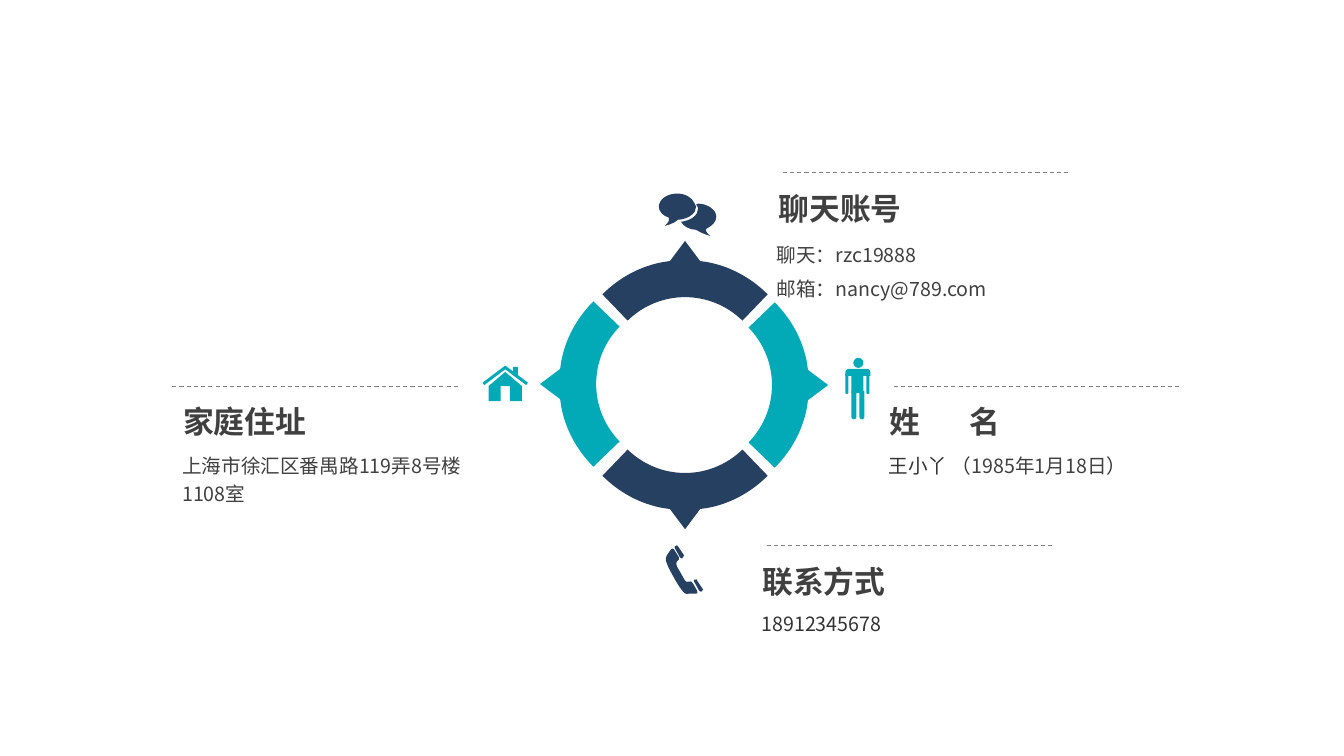
import pptx
import pptx.dml.color
import pptx.enum.dml
import pptx.enum.shapes
import pptx.enum.text
import pptx.oxml.ns
import pptx.util
from lxml import etree

PX = 9144
FONT = "Noto Sans CJK SC"
TEAL, NAVY, GRAY, DARK, RULE = "02AAB7", "254061", "404040", "333333", "808080"
SHAPE = pptx.enum.shapes.MSO_SHAPE
qn = pptx.oxml.ns.qn


def px(n):
    return pptx.util.Emu(round(n * PX))


def rgb(value):
    return pptx.dml.color.RGBColor.from_string(value)


def pairs(seg):
    return list(zip(seg[::2], seg[1::2]))


class Deck:
    """Holds the slide and draws each kind of element in one style."""

    def __init__(self, width, height):
        self.prs = pptx.Presentation()
        self.prs.slide_width, self.prs.slide_height = px(width), px(height)
        self.s = self.prs.slides.add_slide(self.prs.slide_layouts[6])

    def group(self):
        return self.s.shapes.add_group_shape().shapes

    def paint(self, sp, color):
        sp.fill.solid()
        sp.fill.fore_color.rgb = rgb(color)
        sp.line.fill.background()
        sp.shadow.inherit = False

    def shape(self, parent, kind, box, color, rotation=0, adj=()):
        sp = parent.add_shape(kind, *map(px, box))
        sp.rotation = rotation
        for i, value in enumerate(adj):
            sp.adjustments[i] = value
        self.paint(sp, color)

    def outline(self, parent, contours, color):
        """Draw contours of points (2 numbers) and cubic curves (6 numbers)."""
        builder = parent.build_freeform(*map(px, contours[0][0]), scale=1.0)
        for i, contour in enumerate(contours):
            if i:
                builder.move_to(*map(px, contour[0]))
            points = [(px(x), px(y)) for seg in contour[1:] for x, y in pairs(seg)]
            builder.add_line_segments(points, close=True)
        sp = builder.convert_to_shape()
        lines = sp._element.iter(qn("a:lnTo"))
        lines = iter(list(lines))
        for seg in (seg for contour in contours for seg in contour[1:]):
            first = next(lines)
            if len(seg) == 6:
                curve = etree.Element(qn("a:cubicBezTo"))
                first.addprevious(curve)
                for line in (first, next(lines), next(lines)):
                    curve.append(line[0])
                    line.getparent().remove(line)
        self.paint(sp, color)

    def rule(self, x, y, width):
        c = self.s.shapes.add_connector(pptx.enum.shapes.MSO_CONNECTOR.STRAIGHT,
                                        px(x), px(y), px(x + width), px(y))
        c.line.color.rgb = rgb(RULE)
        c.line.width = pptx.util.Pt(0.75)
        c.line.dash_style = pptx.enum.dml.MSO_LINE.DASH
        etree.SubElement(c._element.spPr, qn("a:effectLst"))

    def text(self, box, paragraphs, size, bold=False, spacing=1.0, before=0, tab=None):
        tf = self.s.shapes.add_textbox(*map(px, box)).text_frame
        tf.word_wrap = True
        tf.auto_size = pptx.enum.text.MSO_AUTO_SIZE.SHAPE_TO_FIT_TEXT
        for i, runs in enumerate(paragraphs):
            p = tf.add_paragraph() if i else tf.paragraphs[0]
            p.line_spacing = spacing
            if i:
                p.space_before = pptx.util.Pt(before)
            if tab:
                tabs = etree.SubElement(p._p.get_or_add_pPr(), qn("a:tabLst"))
                etree.SubElement(tabs, qn("a:tab"), pos=str(px(tab)), algn="l")
            for words, color in runs:
                r = p.add_run()
                r.text = words
                r.font.size = pptx.util.Pt(size)
                r.font.bold = bold
                r.font.color.rgb = rgb(color)
                r.font.name = FONT
                etree.SubElement(r._r.get_or_add_rPr(), qn("a:ea"), typeface=FONT)


def ring(d):
    sector = [(89, -82), (106, -65, 117, -44, 121, -22), (122, -15), (142, 0),
              (122, 15), (121, 22), (117, 44, 106, 65, 89, 82), (63, 57),
              (94, 25, 94, -25, 63, -57)]
    for cx, cy, color in ((680, 382, TEAL), (680, 383, NAVY),
                          (678, 381, TEAL), (680, 381, NAVY)):
        placed = [[v for x, y in pairs(seg) for v in (cx + x, cy + y)] for seg in sector]
        d.outline(d.s.shapes, [placed], color)
        sector = [[v for x, y in pairs(seg) for v in (-y, x)] for seg in sector]


def person(d):
    g = d.group()
    d.shape(g, SHAPE.OVAL, (847, 355, 10, 10), TEAL)
    d.shape(g, SHAPE.ROUND_2_SAME_RECTANGLE, (839, 366, 25, 7), TEAL, adj=(0.5, 0))
    d.shape(g, SHAPE.RECTANGLE, (845, 373, 12, 17), TEAL)
    for limb in ((845, 388, 5, 28), (853, 388, 5, 28),
                 (839, 371, 3, 20), (860, 371, 3, 20)):
        d.shape(g, SHAPE.ROUND_2_SAME_RECTANGLE, limb, TEAL, 180, (0.5, 0))


def house(d):
    g = d.group()
    for x, angle in ((477, 323), (498, 37)):
        d.shape(g, SHAPE.RECTANGLE, (x, 371, 28, 3), TEAL, angle)
    d.shape(g, SHAPE.ISOSCELES_TRIANGLE, (485, 369, 33, 14), TEAL)
    for x in (485, 506):
        d.shape(g, SHAPE.RECTANGLE, (x, 383, 12, 15), TEAL)
    d.shape(g, SHAPE.SNIP_1_RECTANGLE, (509, 364, 5, 10), TEAL, 180, (0.5,))


def bubbles(d):
    g = d.group()
    back = [(711, 215), (711, 208, 702, 202, 693, 202), (692, 202, 692, 203, 691, 203),
            (692, 204, 693, 206, 693, 207), (693, 214, 685, 219, 676, 220),
            (678, 224, 684, 228, 691, 228), (697, 232, 705, 234, 705, 234),
            (701, 231, 700, 228, 701, 227), (707, 224, 711, 220, 711, 215)]
    front = [(689, 201), (687, 196, 680, 192, 672, 192), (662, 192, 654, 198, 654, 205),
             (654, 210, 658, 214, 664, 216), (665, 218, 664, 220, 660, 224),
             (660, 224, 669, 222, 673, 218), (674, 218),
             (683, 217, 691, 212, 691, 205), (691, 203, 690, 202, 689, 201)]
    for contour in (back, front):
        d.outline(g, [contour], NAVY)


def phone(d):
    handset = [(688, 579), (687, 577, 685, 576, 684, 577), (682, 578, 681, 577, 680, 576),
               (672, 562), (671, 560, 671, 558, 672, 557), (674, 557, 674, 554, 674, 553),
               (669, 545), (668, 544, 667, 544, 666, 545), (662, 551),
               (661, 552, 661, 554, 661, 556), (661, 556, 662, 561, 669, 573),
               (675, 584, 679, 588, 679, 588), (680, 589, 682, 590, 684, 589), (691, 589),
               (692, 589, 693, 588, 692, 586)]
    mouth = [(698, 585), (692, 576), (692, 575, 692, 574, 691, 575), (689, 575),
             (689, 576, 689, 576, 689, 577), (694, 586), (695, 587, 696, 587, 696, 587),
             (697, 586), (698, 586, 698, 585, 698, 585)]
    ear = [(675, 553), (676, 554, 677, 554, 677, 554), (678, 553),
           (679, 552, 679, 552, 679, 551), (673, 542), (673, 541, 672, 541, 672, 541),
           (670, 542), (670, 542, 669, 543, 670, 544)]
    d.outline(d.s.shapes, [handset, mouth, ear], NAVY)


def main():
    d = Deck(1334, 750)
    ring(d)
    for icon in (person, house, bubbles, phone):
        icon(d)
    blocks = [
        (171, 383, 172, 395, "家庭住址", (171, 441, 309, 64),
         [[("上海市徐汇区番禺路119弄8号楼1108室", GRAY)]], 1.2),
        (887, 383, 873, 395, "姓\t名", (872, 441, 362, 36),
         [[("王小丫 （", DARK), ("1985年1月18日", GRAY), ("）", DARK)]], 1.2),
        (777, 171, 763, 183, "聊天账号", (761, 229, 394, 76),
         [[("聊天：rzc19888", GRAY)], [("邮箱：nancy@789.com", GRAY)]], 1.3),
        (761, 541, 747, 553, "联系方式", (746, 598, 362, 36),
         [[("18912345678", DARK)]], 1.2),
    ]
    for rule_x, rule_y, x, y, title, box, details, spacing in blocks:
        d.rule(rule_x, rule_y, 285)
        d.text((x, y, 144, 47), [[(title, GRAY)]], 22, bold=True,
               tab=79 if "\t" in title else None)
        d.text(box, details, 14, spacing=spacing, before=2.8)
    d.prs.save("out.pptx")


if __name__ == "__main__":
    main()
